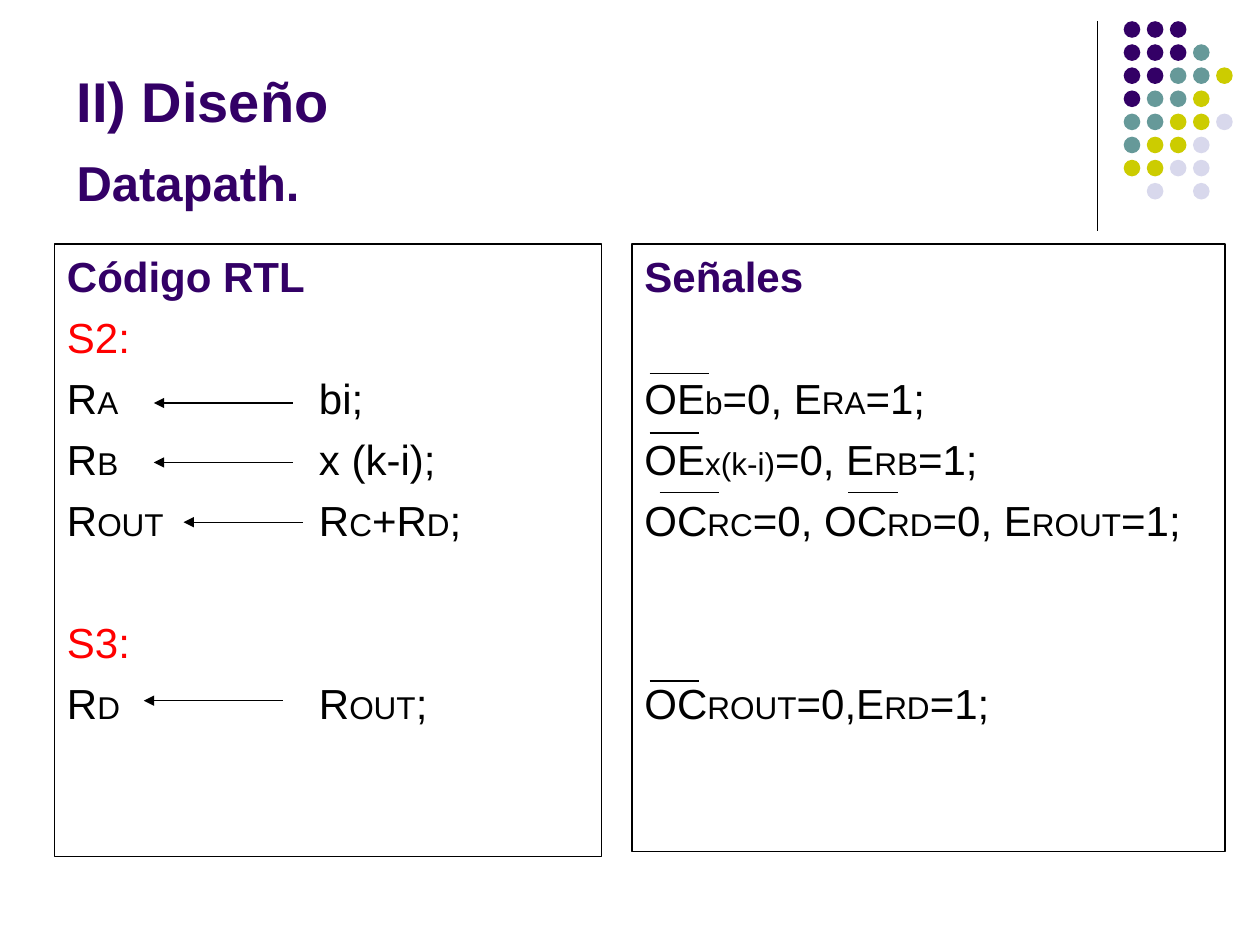
"""Build the datapath design slide: RTL code beside its control signals."""
from dataclasses import dataclass

from lxml import etree
from pptx import Presentation
from pptx import util as u
from pptx.dml.color import RGBColor
from pptx.enum import shapes, text
from pptx.oxml import ns

COLORS = {"purple": "330066", "teal": "669999", "olive": "CCCC00",
          "lilac": "D8D8EC", "red": "FF0000", "black": "000000"}
DOT_COLORS = {"P": "purple", "T": "teal", "O": "olive", "L": "lilac"}
DOT_ROWS = ["PPP", "PPPT", "PPTTO", "PTTO", "TTOOL", "TOOL", "OOLL", " L L"]
DOT_LEFT, DOT_TOP, DOT_SIZE, DOT_PITCH = 642.1, 12.1, 9.5, 13.2
BODY_SIZE, REGISTER_SIZE = 24, 18
ROW_GAP, ROW_PITCH = 6, 34.85
TARGET_TAB = 144


@dataclass(frozen=True)
class Row:
    """A line of text; the pieces between bars alternate body and register size."""
    content: str
    color: str = "black"
    bold: bool = False
    size: float = BODY_SIZE
    before: float = ROW_GAP


@dataclass(frozen=True)
class Panel:
    """A bordered box of rows."""
    left: float
    width: float
    height: float
    rows: tuple[Row, ...]
    top: float = 139.5


@dataclass(frozen=True)
class Rule:
    """A straight line, optionally ending in an arrowhead."""
    start: tuple[float, float]
    end: tuple[float, float]
    arrow: bool = False


def rgb(name: str) -> RGBColor:
    """Look up a named colour."""
    return RGBColor.from_string(COLORS[name])


def write_rows(frame, rows: tuple[Row, ...], **frame_format) -> None:
    """Fill a text frame with rows."""
    frame_format = {"word_wrap": True, "margin_left": u.Pt(7.2), "margin_right": u.Pt(7.2),
                    "margin_top": u.Pt(3.8), "margin_bottom": u.Pt(6)} | frame_format
    for attribute, value in frame_format.items():
        setattr(frame, attribute, value)
    for index, row in enumerate(rows):
        line = frame.add_paragraph() if index else frame.paragraphs[0]
        line.alignment = text.PP_ALIGN.LEFT
        line.space_before = u.Pt(row.before if index else 0)
        if "\t" in row.content:
            stops = etree.SubElement(line._p.get_or_add_pPr(), ns.qn("a:tabLst"))
            etree.SubElement(stops, ns.qn("a:tab"), pos=str(u.Pt(TARGET_TAB)), algn="l")
        for position, piece in enumerate(row.content.split("|")):
            run = line.add_run()
            run.text = piece
            run.font.color.rgb = rgb(row.color)
            size = REGISTER_SIZE if position % 2 else row.size
            for attribute, value in {"name": "Arial", "size": u.Pt(size), "bold": row.bold}.items():
                setattr(run.font, attribute, value)


def draw_panel(slide, panel: Panel) -> None:
    """Draw a bordered panel with its rows."""
    box = slide.shapes.add_shape(shapes.MSO_SHAPE.RECTANGLE, u.Pt(panel.left), u.Pt(panel.top),
                                 u.Pt(panel.width), u.Pt(panel.height))
    box.shadow.inherit = False
    box.fill.background()
    box.line.color.rgb = rgb("black")
    box.line.width = u.Pt(1)
    write_rows(box.text_frame, panel.rows, vertical_anchor=text.MSO_ANCHOR.TOP)


def draw_rule(slide, rule: Rule) -> None:
    """Draw a thin black line or arrow."""
    line = slide.shapes.add_connector(shapes.MSO_CONNECTOR.STRAIGHT,
                                      *map(u.Pt, rule.start + rule.end))
    line.line.color.rgb = rgb("black")
    line.line.width = u.Pt(0.75)
    if rule.arrow:
        etree.SubElement(line.line._get_or_add_ln(), ns.qn("a:tailEnd"), type="triangle")
    etree.SubElement(line._element.spPr, ns.qn("a:effectLst"))


def draw_dots(slide) -> None:
    """Draw the coloured dot grid in the corner."""
    for row, codes in enumerate(DOT_ROWS):
        for column, code in enumerate(codes):
            if code == " ":
                continue
            dot = slide.shapes.add_shape(
                shapes.MSO_SHAPE.OVAL, u.Pt(DOT_LEFT + column * DOT_PITCH),
                u.Pt(DOT_TOP + row * DOT_PITCH), u.Pt(DOT_SIZE), u.Pt(DOT_SIZE))
            dot.shadow.inherit = False
            dot.fill.solid()
            dot.fill.fore_color.rgb = rgb(DOT_COLORS[code])
            dot.line.fill.background()


TITLE = (Row("II) Diseño", "purple", True, 32), Row("Datapath.", "purple", True, 28, 10.8))

PANELS = (
    Panel(31.2, 312.5, 350, (
        Row("Código RTL", "purple", True),
        Row("S2:", "red"),
        Row("R|A|\tbi;"),
        Row("R|B|\tx (k-i);"),
        Row("R|OUT|\tR|C|+R|D|;"),
        Row("S3:", "red", before=ROW_GAP + ROW_PITCH),
        Row("R|D|\tR|OUT|;"),
    )),
    Panel(361.2, 339, 347.2, (
        Row("Señales", "purple", True),
        Row("OE|b|=0, E|RA|=1;", before=ROW_GAP + ROW_PITCH),
        Row("OE|x(k-i)|=0, E|RB|=1;"),
        Row("OC|RC|=0, OC|RD|=0, E|ROUT|=1;"),
        Row("OC|ROUT|=0,E|RD|=1;", before=ROW_GAP + 2 * ROW_PITCH),
    )),
)

OVERBARS = ((371.3, 405.3, 213.3), (371.3, 399.7, 247.4), (377, 410.9, 281.4),
            (484.7, 513.1, 281.4), (371.3, 399.7, 389.1))
ARROWS = ((167.2, 87.9, 230.3), (167.2, 87.9, 264.3), (172.9, 104.9, 298.4),
          (161.5, 82.2, 400.4))


def main() -> None:
    """Assemble and save the slide."""
    deck = Presentation()
    deck.slide_width, deck.slide_height = u.Pt(720), u.Pt(540)
    slide = deck.slides.add_slide(deck.slide_layouts[6])
    draw_rule(slide, Rule((627, 12), (627, 132)))
    draw_dots(slide)
    title = slide.shapes.add_textbox(u.Pt(36.7), u.Pt(26), u.Pt(527), u.Pt(100.8))
    write_rows(title.text_frame, TITLE, vertical_anchor=text.MSO_ANCHOR.BOTTOM)
    for panel in PANELS:
        draw_panel(slide, panel)
    for group, arrow in ((OVERBARS, False), (ARROWS, True)):
        for start, end, height in group:
            draw_rule(slide, Rule((start, height), (end, height), arrow))
    deck.save("out.pptx")


if __name__ == "__main__":
    main()
